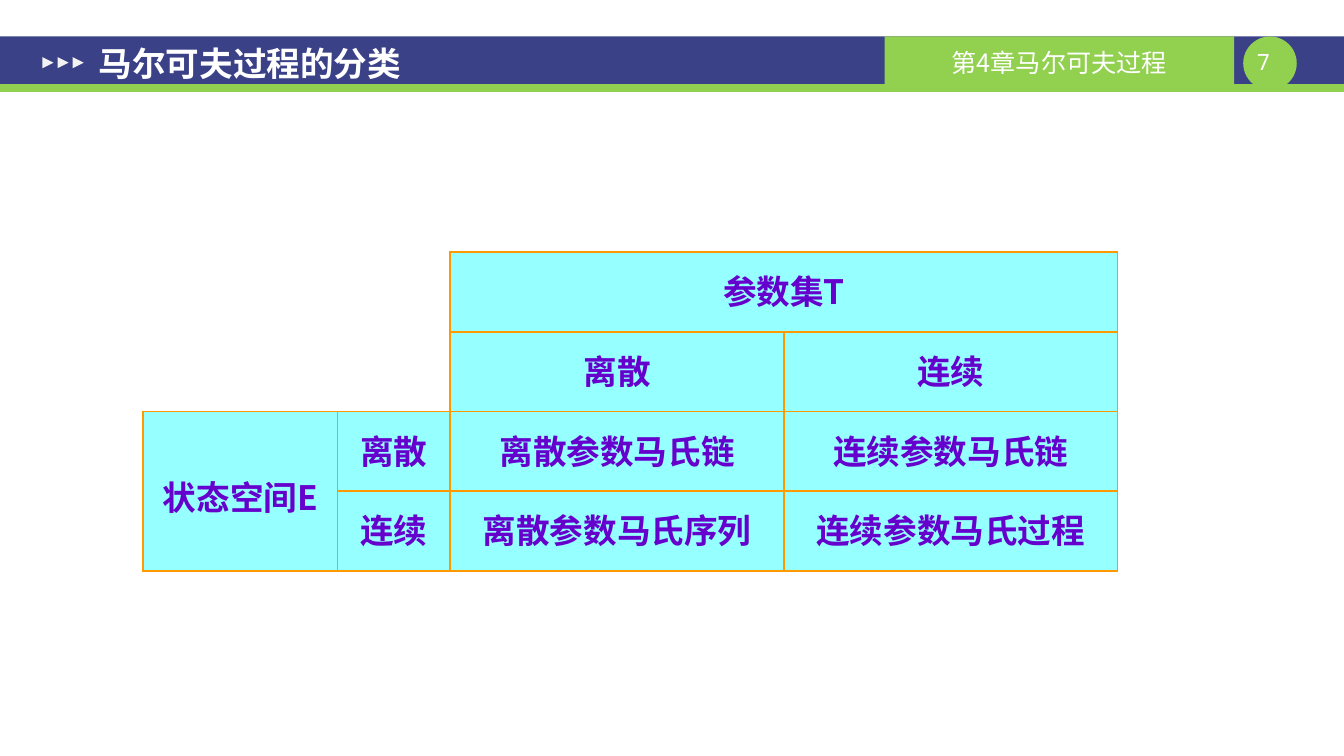
from dataclasses import dataclass

from lxml import etree
from pptx import Presentation
from pptx.dml.color import RGBColor
from pptx.enum import shapes, text
from pptx.oxml import ns
from pptx.util import Cm, Pt


@dataclass(frozen=True)
class Theme:
    navy: str = "3A4187"
    green: str = "92D050"
    arrow: str = "F2F2F2"
    white: str = "FFFFFF"
    cell: str = "96FFFF"
    border: str = "FF9900"
    purple: str = "6600CC"
    title_font: str = "Arial"
    body_font: str = "Noto Sans CJK SC"
    number_font: str = "Noto Sans Mono"
    large: int = 24
    medium: int = 18
    small: int = 16


theme = Theme()
KIND = shapes.MSO_SHAPE
MIDDLE = text.MSO_ANCHOR.MIDDLE


def write(frame, words, size=theme.large, color=theme.white, font=theme.body_font,
          bold=False, align=text.PP_ALIGN.CENTER, line=None, before=None):
    frame.word_wrap = True
    paragraph = frame.paragraphs[0]
    paragraph.alignment = align
    paragraph.line_spacing = line
    paragraph.space_before = before
    run = paragraph.add_run()
    run.text = words
    run.font.size = Pt(size)
    run.font.name = font
    run.font.bold = bold
    run.font.color.rgb = RGBColor.from_string(color)


def add_block(kind, left, top, width, height, color):
    block = slide.shapes.add_shape(kind, Cm(left), Cm(top), Cm(width), Cm(height))
    block.shadow.inherit = False
    block.fill.solid()
    block.fill.fore_color.rgb = RGBColor.from_string(color)
    block.line.fill.background()
    return block


deck = Presentation()
deck.slide_width, deck.slide_height = Cm(33.88), Cm(19.05)
slide = deck.slides.add_slide(deck.slide_layouts[5])

# Header band
add_block(KIND.RECTANGLE, 0, 0.92, 33.88, 1.2, theme.navy)
add_block(KIND.RECTANGLE, 0, 2.12, 33.88, 0.2, theme.green)
add_block(KIND.OVAL, 31.34, 0.92, 1.35, 1.35, theme.green)

page_number = slide.shapes.add_textbox(Cm(31.34), Cm(1.22), Cm(1.35), Cm(0.69)).text_frame
page_number.margin_left = page_number.margin_right = 0
page_number.margin_top = page_number.margin_bottom = 0
write(page_number, "7 ", size=theme.small, font=theme.number_font)

chapter = add_block(KIND.RECTANGLE, 22.3, 0.92, 8.81, 1.2, theme.green).text_frame
chapter.margin_top, chapter.margin_bottom = Cm(0.1), 0
chapter.vertical_anchor = MIDDLE
write(chapter, "第4章马尔可夫过程", size=theme.medium)

for index in range(3):
    arrow = add_block(KIND.ISOSCELES_TRIANGLE, 1.07 + 0.38 * index, 1.44, 0.28, 0.28, theme.arrow)
    arrow.rotation = 90

title = slide.shapes.title
title.left, title.top, title.width, title.height = Cm(2.16), Cm(1), Cm(14.81), Cm(1.2)
title.element.getparent().append(title.element)  # in front of the band
heading = title.text_frame
heading.margin_left = heading.margin_right = Cm(0.33)
heading.margin_top = heading.margin_bottom = Cm(0.18)
heading.vertical_anchor = MIDDLE
write(heading, "马尔可夫过程的分类", font=theme.title_font, bold=True, align=text.PP_ALIGN.LEFT)

# Classification table
rows = [
    ["", "", "参数集T", ""],
    ["", "", "离散", "连续"],
    ["状态空间E", "离散", "离散参数马氏链", "连续参数马氏链"],
    ["", "连续", "离散参数马氏序列", "连续参数马氏过程"],
]
column_widths = [4.9, 2.84, 8.41, 8.41]
row_height = 2.01
classes = slide.shapes.add_table(
    4, 4, Cm(3.61), Cm(6.35), Cm(sum(column_widths)), Cm(row_height * 4)).table
classes.first_row = classes.horz_banding = False
for column, width in zip(classes.columns, column_widths):
    column.width = Cm(width)
for row in classes.rows:
    row.height = Cm(row_height)
classes.cell(0, 2).merge(classes.cell(0, 3))
classes.cell(2, 0).merge(classes.cell(3, 0))

for r, labels in enumerate(rows):
    for c, label in enumerate(labels):
        cell = classes.cell(r, c)
        cell.margin_left = cell.margin_right = 0
        cell.margin_top = cell.margin_bottom = Cm(0.1)
        corner = r < 2 and c < 2
        bordered = {"L": not corner, "R": not corner or c == 1,
                    "T": not corner, "B": not corner or r == 1}
        for side, visible in bordered.items():
            edge = etree.SubElement(cell._tc.get_or_add_tcPr(), ns.qn(f"a:ln{side}"), w=str(Pt(1.5)))
            if visible:
                paint = etree.SubElement(edge, ns.qn("a:solidFill"))
                etree.SubElement(paint, ns.qn("a:srgbClr"), val=theme.border)
            else:
                etree.SubElement(edge, ns.qn("a:noFill"))
        if corner:
            cell.fill.background()
        else:
            cell.fill.solid()
            cell.fill.fore_color.rgb = RGBColor.from_string(theme.cell)
        if label:
            spans_rows = cell.is_merge_origin and c == 0
            if spans_rows:
                cell.vertical_anchor = MIDDLE
            write(cell.text_frame, label, color=theme.purple, bold=True, line=1.2,
                  before=Pt(theme.large / 2) if spans_rows else None)

deck.save("out.pptx")
